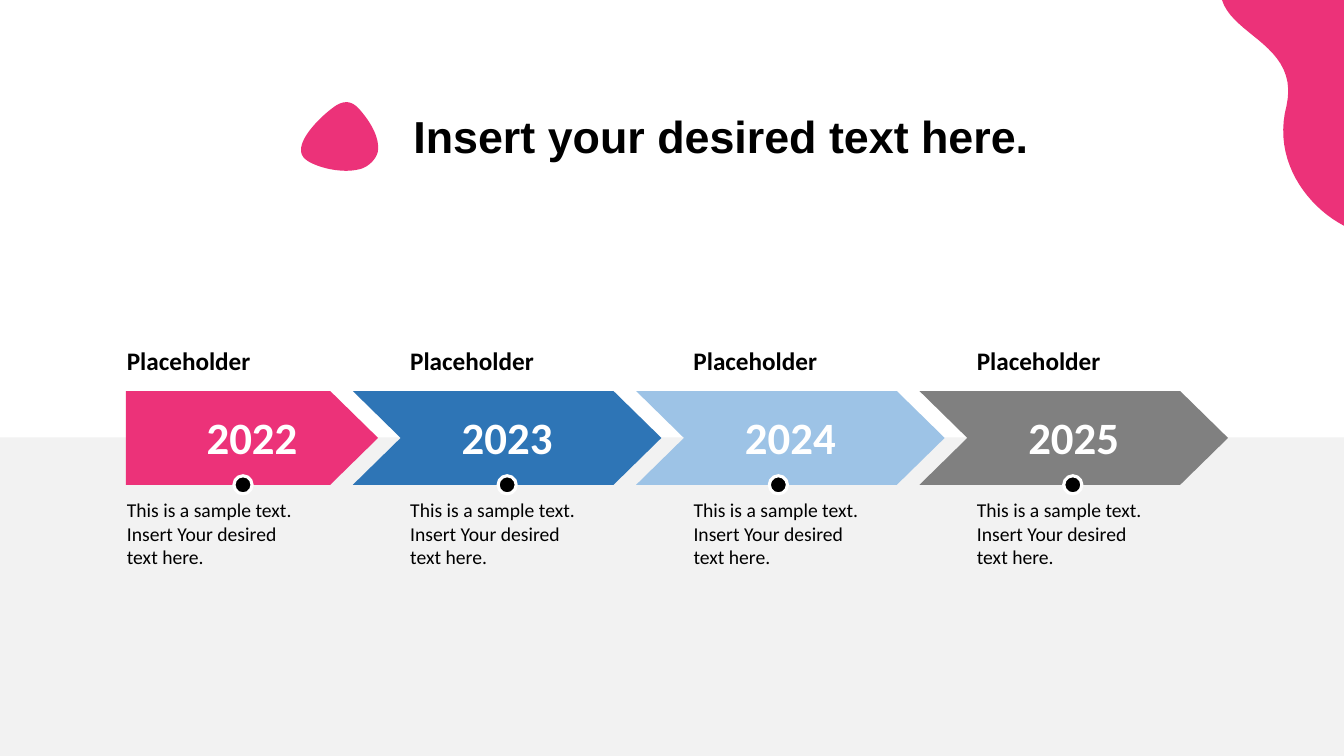
from pptx import Presentation
from pptx.dml.color import RGBColor
from pptx.enum.shapes import MSO_SHAPE as Preset
from pptx.enum.text import MSO_ANCHOR as Anchor, MSO_AUTO_SIZE as AutoSize, PP_ALIGN as Align
from pptx.util import Inches, Pt

WIDTH, HEIGHT = 13.33, 7.5
COLUMN = 2.81
LEFT = 1.16
FIRST_TIP = 3.75
ARROW_TOP, ARROW_HEIGHT = 3.88, 0.93
ARROW_BOTTOM = ARROW_TOP + ARROW_HEIGHT
DOT = 0.18
COLORS = {
    "pink": "EC3279", "blue": "2E75B6", "sky": "9DC3E6", "gray": "808080",
    "band": "F2F2F2", "black": "000000", "white": "FFFFFF",
}
SAMPLE = ["This is a sample text.", "Insert Your desired", "text here."]
STAGES = [
    ("2022", "pink", 2.41), ("2023", "blue", 5.03),
    ("2024", "sky", 7.72), ("2025", "gray", 10.64),
]
BADGE = [(3.01, 1.56), [
    [(2.9, 1.42), (3.19, 1.15), (3.3, 1.07)],
    [(3.43, 0.97), (3.51, 1.02), (3.57, 1.09)],
    [(3.64, 1.17), (3.76, 1.33), (3.75, 1.48)],
    [(3.75, 1.56), (3.66, 1.66), (3.56, 1.68)],
    [(3.36, 1.73), (3.07, 1.64), (3.01, 1.56)],
]]
CORNER = [(12.12, 0), [
    [(WIDTH, 0)],
    [(WIDTH, 2.24)],
    [(12.95, 2.04), (12.62, 1.58), (12.76, 1.05)],
    [(12.89, 0.46), (12.23, 0.36), (12.12, 0)],
]]


def color(name):
    """Return the named colour."""
    return RGBColor.from_string(COLORS[name])


def paint(shape, fill):
    """Give a shape a plain fill without line or shadow."""
    shape.shadow.inherit = False
    shape.fill.solid()
    shape.fill.fore_color.rgb = color(fill)
    shape.line.fill.background()


def add_block(slide, preset, left, top, width, height, fill):
    """Add a plain preset shape, measured in inches."""
    shape = slide.shapes.add_shape(
        preset, Inches(left), Inches(top), Inches(width), Inches(height))
    paint(shape, fill)
    return shape


def curve_points(start, controls, steps=20):
    """Return points along a Bezier curve, or the end of a straight edge."""
    if len(controls) == 1:
        return controls
    corners = list(zip((1, 3, 3, 1), [start, *controls]))
    points = []
    for step in range(1, steps + 1):
        t = step / steps
        points.append(tuple(
            sum(weight * (1 - t) ** (3 - power) * t ** power * corner[axis]
                for power, (weight, corner) in enumerate(corners))
            for axis in (0, 1)))
    return points


def add_blob(slide, start, segments, fill):
    """Add a closed outline of curved and straight segments."""
    points = [start]
    for controls in segments:
        points += curve_points(points[-1], controls)
    emu = [(Inches(x), Inches(y)) for x, y in points]
    builder = slide.shapes.build_freeform(*emu[0], scale=1.0)
    builder.add_line_segments(emu[1:], close=True)
    paint(builder.convert_to_shape(), fill)


def write(frame, lines, size, ink="black", bold=False, font="Calibri", align=Align.LEFT, wrap=False):
    """Fill a text frame with evenly formatted paragraphs."""
    frame.text = "\n".join(lines)
    frame.word_wrap = wrap
    frame.auto_size = AutoSize.NONE
    frame.vertical_anchor = Anchor.TOP
    for paragraph in frame.paragraphs:
        paragraph.alignment = align
        paragraph.font.name = font
        paragraph.font.size = Pt(size)
        paragraph.font.bold = bold
        paragraph.font.color.rgb = color(ink)


def add_text(slide, left, top, width, height, lines, size, **style):
    """Add a text box, measured in inches."""
    box = slide.shapes.add_textbox(Inches(left), Inches(top), Inches(width), Inches(height))
    write(box.text_frame, lines, size, **style)


def add_title(slide, text):
    """Place and format the title."""
    title = slide.shapes.title
    title.left, title.top = Inches(4), Inches(1.03)
    title.width, title.height = Inches(6.35), Inches(0.64)
    write(title.text_frame, [text], 32, bold=True, font="Arial")


def add_stage(slide, index, year, fill):
    """Add one arrow of the timeline with its year, heading and text."""
    preset, width = (Preset.CHEVRON, 3.06) if index else (Preset.PENTAGON, 2.5)
    arrow_left = FIRST_TIP + index * COLUMN - width
    text_left = LEFT + index * COLUMN
    arrow = add_block(slide, preset, arrow_left, ARROW_TOP, width, ARROW_HEIGHT, fill)
    arrow.adjustments[0] = 0.51
    add_text(slide, arrow_left + (width - 1.11) / 2, 4.02, 1.11, 0.64, [year], 32,
             ink="white", bold=True, align=Align.CENTER)
    add_text(slide, text_left, 3.38, 1.44, 0.4, ["Placeholder"], 18, bold=True)
    add_text(slide, text_left, 4.89, 1.89, 0.81, SAMPLE, 14, wrap=True)


def add_dot(slide, center):
    """Add a ringed dot on the lower edge of the arrows."""
    dot = add_block(slide, Preset.OVAL, center - DOT / 2, ARROW_BOTTOM - DOT / 2, DOT, DOT, "black")
    dot.line.color.rgb = color("white")
    dot.line.width = Pt(2.25)


def main():
    """Build the timeline slide and save it."""
    presentation = Presentation()
    presentation.slide_width, presentation.slide_height = Inches(WIDTH), Inches(HEIGHT)
    slide = presentation.slides.add_slide(presentation.slide_layouts[5])
    add_title(slide, "Insert your desired text here.")
    for outline in (BADGE, CORNER):
        add_blob(slide, *outline, "pink")
    add_block(slide, Preset.RECTANGLE, 0, 4.34, WIDTH, HEIGHT - 4.34, "band")
    for index, (year, fill, _) in enumerate(STAGES):
        add_stage(slide, index, year, fill)
    for _, _, center in STAGES:
        add_dot(slide, center)
    presentation.save("out.pptx")


if __name__ == "__main__":
    main()
